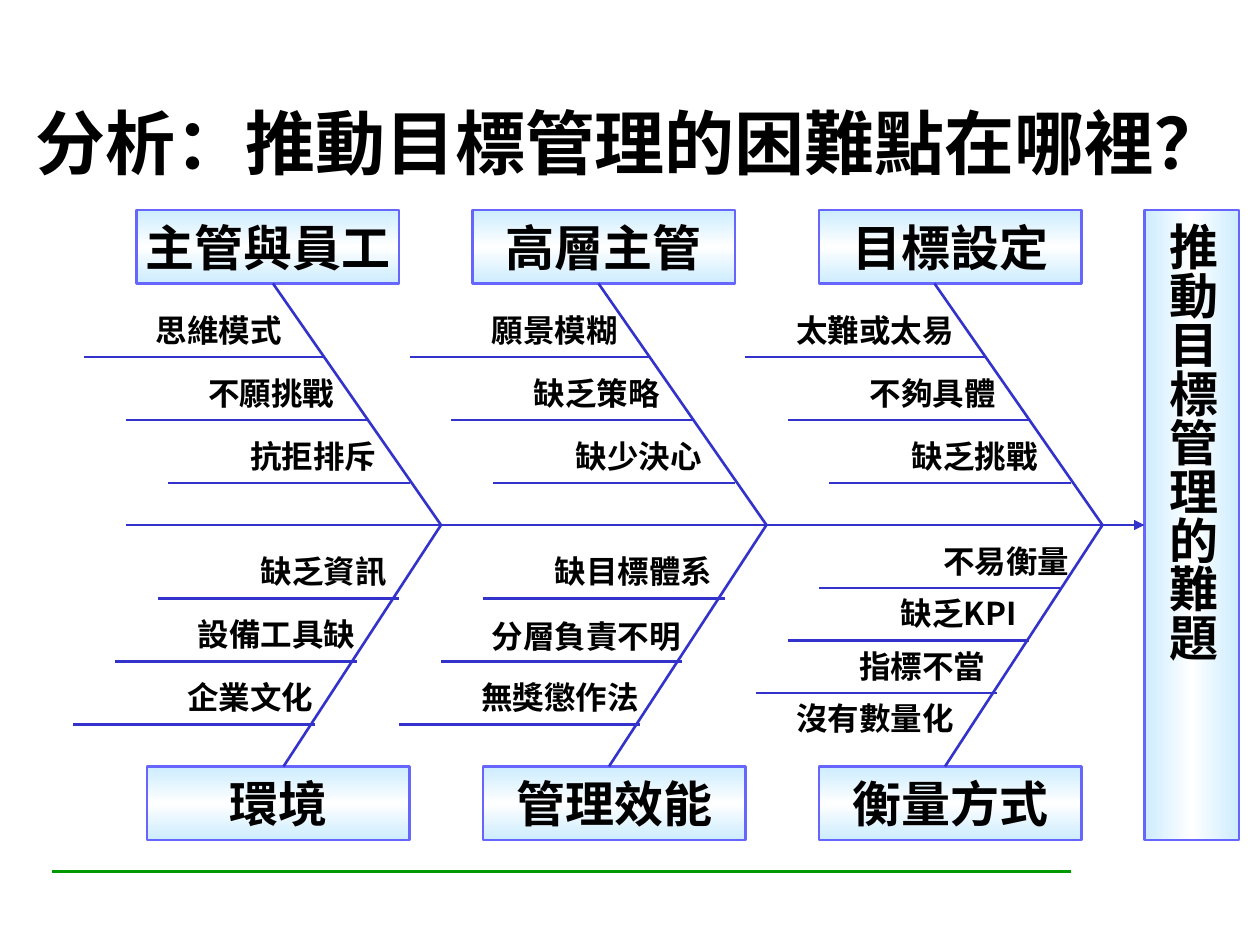
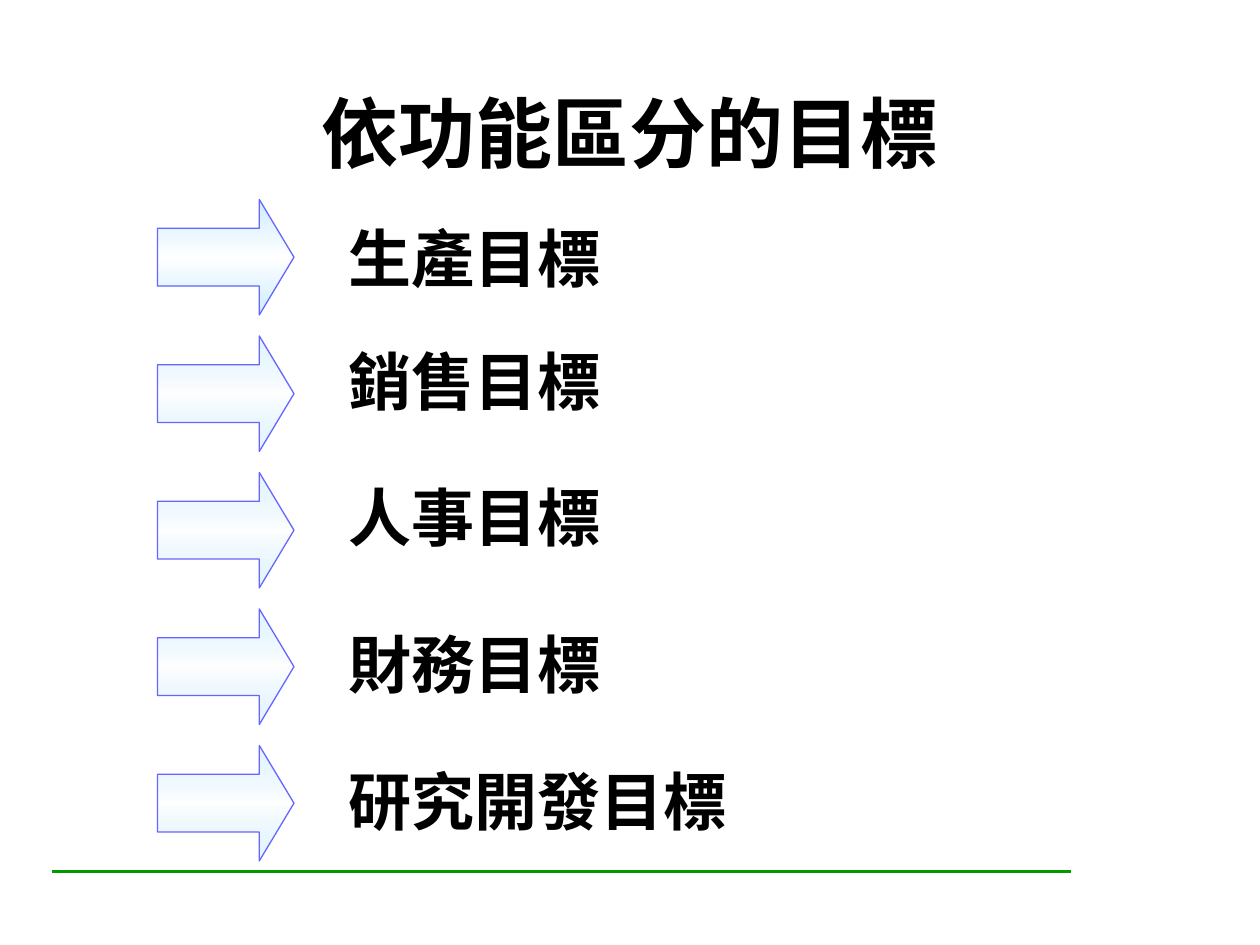
import lxml.etree
import pptx
import pptx.dml.color
import pptx.enum.dml
import pptx.enum.shapes
import pptx.enum.text
import pptx.oxml.ns
import pptx.util

RGB = pptx.dml.color.RGBColor
BLACK = RGB(0x00, 0x00, 0x00)
WHITE = RGB(0xFF, 0xFF, 0xFF)
PALE = RGB(0xCC, 0xEC, 0xFF)
EDGE = RGB(0x66, 0x66, 0xFF)
BONE = RGB(0x33, 0x33, 0xCC)
GREEN = RGB(0x00, 0x99, 0x00)

SANS = "Noto Sans CJK SC"
SERIF = "Times New Roman"
GRID = 2.54 / 12
SPINE = 50

ALIGN = pptx.enum.text.PP_ALIGN
ANCHOR = pptx.enum.text.MSO_ANCHOR
SHAPE = pptx.enum.shapes.MSO_SHAPE
qn = pptx.oxml.ns.qn

# Each bone: joint, box left, name, labels as (text, right edge from joint, width)
UPPER = [
    (42, 13, "主管與員工",
     [("思維模式", -14, 26), ("不願挑戰", -9, 26), ("抗拒排斥", -5, 24)]),
    (73, 45, "高層主管",
     [("願景模糊", -13, 22), ("缺乏策略", -9, 24), ("缺少決心", -5, 25)]),
    (105, 78, "目標設定",
     [("太難或太易", -13, 24), ("不夠具體", -9, 22), ("缺乏挑戰", -5, 24)]),
]
LOWER = [
    (42, 14, "環境",
     [("缺乏資訊", -4, 28), ("設備工具缺", -7, 24), ("企業文化", -11, 24)]),
    (73, 46, "管理效能",
     [("缺目標體系", -4, 24), ("分層負責不明", -7, 27), ("無獎懲作法", -11, 24)]),
]
GAUGE = (105, 78, "衡量方式",
         [("不易衡量", -2, 20), ("缺乏KPI", -7, 16),
          ("指標不當", -10, 20), ("沒有數量化", -13, 20)])
GOALS = [("生產目標", 20.3), ("銷售目標", 32), ("人事目標", 45),
         ("財務目標", 59), ("研究開發目標", 72)]


def grid(*steps):
    """Turn grid steps into lengths."""
    return [pptx.util.Cm(step * GRID) for step in steps]


def write(frame, text, size=18, font=SANS, align=ALIGN.LEFT,
          anchor=ANCHOR.TOP, wrap=True, lines=None):
    """Write one bold paragraph into a text frame."""
    frame.word_wrap = wrap
    frame.vertical_anchor = anchor
    para = frame.paragraphs[0]
    para.alignment = align
    if lines:
        para.line_spacing = lines
    run = para.add_run()
    run.text = text
    run.font.size = pptx.util.Pt(size)
    run.font.bold = True
    run.font.color.rgb = BLACK
    run.font.name = font
    props = run._r.get_or_add_rPr()
    lxml.etree.SubElement(props, qn("a:ea")).set("typeface", SANS)


def label(slide, text, box, **style):
    """Add a text box."""
    area = slide.shapes.add_textbox(*grid(*box))
    write(area.text_frame, text, **style)
    return area


def rule(slide, start, end, color=BONE, arrow=False):
    """Draw a straight line between two grid points."""
    line = slide.shapes.add_connector(
        pptx.enum.shapes.MSO_CONNECTOR.STRAIGHT, *grid(*start, *end))
    line.line.color.rgb = color
    line.line.width = pptx.util.Pt(1.5)
    props = line.element.spPr
    if arrow:
        head = lxml.etree.SubElement(props.find(qn("a:ln")), qn("a:tailEnd"))
        head.set("type", "triangle")
    lxml.etree.SubElement(props, qn("a:effectLst"))
    return line


def panel(slide, kind, box, angle=90, alpha=100, width=1.5):
    """Add a shape shaded from pale to white and back."""
    shape = slide.shapes.add_shape(kind, *grid(*box))
    shape.shadow.inherit = False
    shape.line.color.rgb = EDGE
    shape.line.width = pptx.util.Pt(width)
    shape.fill.gradient()
    shape.fill.gradient_angle = angle
    stops = shape.element.spPr.find(".//" + qn("a:gsLst"))
    for stop in list(stops):
        stops.remove(stop)
    for place, color in ((0, PALE), (50, WHITE), (100, PALE)):
        stop = lxml.etree.SubElement(stops, qn("a:gs"), pos=str(place * 1000))
        tint = lxml.etree.SubElement(stop, qn("a:srgbClr"), val=str(color))
        if color == PALE and alpha < 100:
            lxml.etree.SubElement(tint, qn("a:alpha"), val=str(alpha * 1000))
    return shape


def caption(shape, text):
    """Write a large centred name inside a panel."""
    write(shape.text_frame, text, size=28, align=ALIGN.CENTER,
          anchor=ANCHOR.MIDDLE, wrap=False)


def base(deck, text, box, size):
    """Start a slide with its title and green footer line."""
    slide = deck.slides.add_slide(deck.slide_layouts[6])
    rule(slide, (5, 83), (102, 83), GREEN)
    label(slide, text, box, size=size, align=ALIGN.CENTER, anchor=ANCHOR.MIDDLE)
    return slide


def bone(slide, cause, top, foot, first, step):
    """Draw a cause box, its slanted bone, ribs and labels."""
    joint, left, name, notes = cause
    caption(panel(slide, SHAPE.RECTANGLE, (left, top, 25, 7)), name)
    rule(slide, foot, (joint, SPINE))
    for i, (text, right, width) in enumerate(notes):
        end = joint + first[0] + i * step[0]
        y = first[1] + i * step[1]
        if i < 3:
            rule(slide, (end - 23, y), (end, y))
        tight = text == "分層負責不明"
        box = (joint + right - width, y - 4 if tight else y - 5,
               width, 4 if tight else 4.8)
        label(slide, text, box, align=ALIGN.RIGHT, lines=0.75 if tight else None)


def effect(slide, box):
    """Draw the upright result bar and the spine that points at it."""
    bar = panel(slide, SHAPE.RECTANGLE, box, angle=0)
    caption(bar, "推動目標管理的難題")
    frame = bar.text_frame
    frame.margin_left = frame.margin_right = pptx.util.Cm(0.13)
    frame.margin_top = frame.margin_bottom = pptx.util.Cm(0.25)
    bar.element.txBody.find(qn("a:bodyPr")).set("vert", "eaVert")
    spine = rule(slide, (12, SPINE), (box[0], SPINE), arrow=True)
    spine.end_connect(bar, 1)


def fish(deck):
    """Build the cause and effect slide."""
    slide = base(deck, "分析：推動目標管理的困難點在哪裡？",
                 (0.7, 6.7, 118.6, 13.5), 40)
    effect(slide, (109, 20, 9, 60))
    for cause in UPPER:
        bone(slide, cause, 20, (cause[0] - 16, 27), (-11, 34), (4, 6))
    for cause in LOWER:
        bone(slide, cause, 73, (cause[0] - 15, 73), (-4, 57), (-4, 6))
    bone(slide, GAUGE, 73, (GAUGE[0] - 15, 73), (-4, 56), (-3, 5))


def goals(deck):
    """Build the slide that lists goals beside arrows."""
    slide = base(deck, "依功能區分的目標", (9.5, 7.5, 101, 10), 44)
    for i, (text, top) in enumerate(GOALS):
        arrow = panel(slide, SHAPE.RIGHT_ARROW, (15, 19 + 13 * i, 13, 11),
                      alpha=50 if i else 100, width=0.75)
        arrow.adjustments[1] = 0.3
        label(slide, text, (32, top, 42, 8.4), size=36, font=SERIF)


def main():
    """Build and save the deck."""
    deck = pptx.Presentation()
    deck.slide_width = pptx.util.Cm(25.4)
    deck.slide_height = pptx.util.Cm(19.05)
    fish(deck)
    goals(deck)
    deck.save("out.pptx")


if __name__ == "__main__":
    main()
